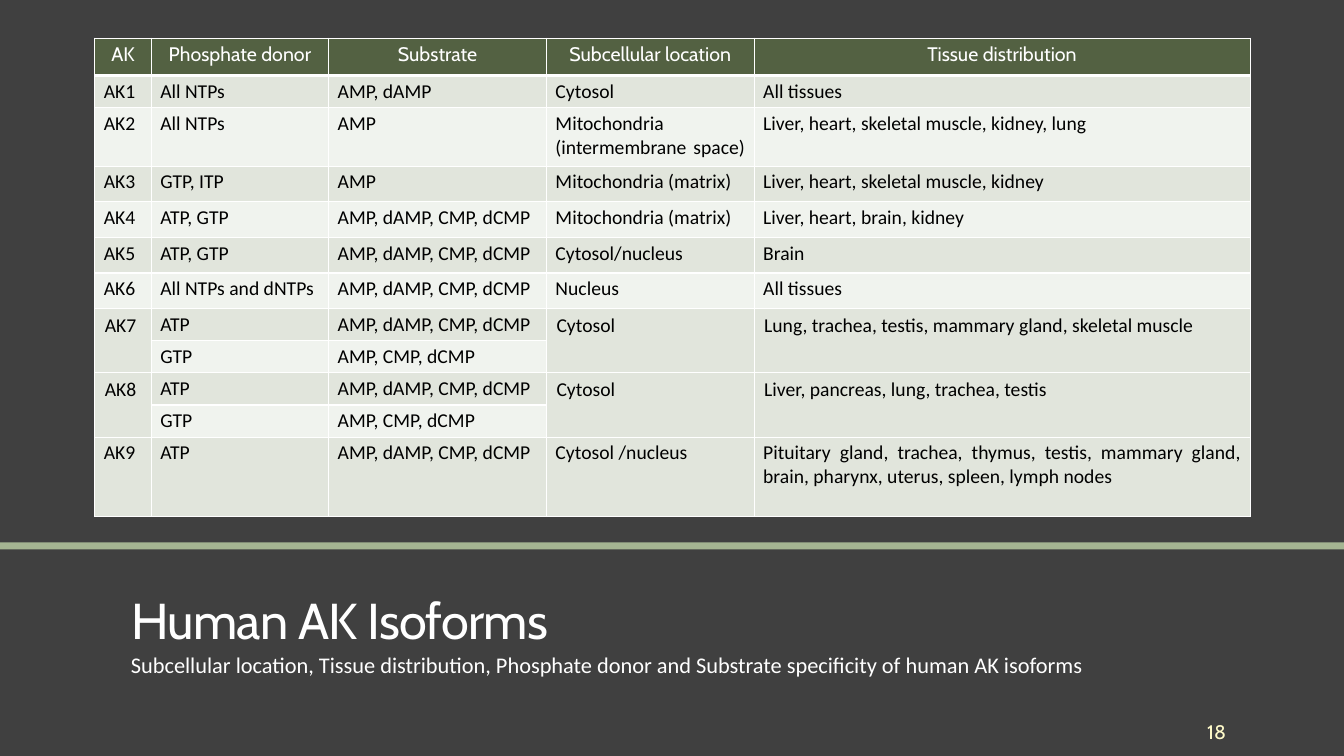
"""Build the slide on human AK isoforms: a table above a title and subtitle."""
from dataclasses import dataclass, field
from typing import Any

from lxml.etree import SubElement
from pptx import Presentation
from pptx.dml.color import RGBColor
from pptx.enum.shapes import MSO_SHAPE
from pptx.enum.text import MSO_ANCHOR as ANCHOR, MSO_AUTO_SIZE as AUTO, PP_ALIGN as ALIGN
from pptx.oxml.ns import qn
from pptx.util import Inches, Pt

WHITE = RGBColor(0xFF, 0xFF, 0xFF)
BLACK = RGBColor(0x00, 0x00, 0x00)
CHARCOAL = RGBColor(0x40, 0x40, 0x40)
SAGE = RGBColor(0xA5, 0xB5, 0x92)
OLIVE = RGBColor(0x53, 0x61, 0x42)
BAND = RGBColor(0xE1, 0xE5, 0xDC)
PALE = RGBColor(0xF0, 0xF3, 0xEE)
CREAM = RGBColor(0xFE, 0xFA, 0xC9)
HEADING, BODY = "Cabin", "Calibri"

COL_WIDTHS = [0.56, 1.76, 2.16, 2.06, 4.92]
ROW_HEIGHTS = [0.37, 0.32, 0.58, 0.35, 0.36, 0.35, 0.35, 0.32, 0.32, 0.32, 0.32, 0.79]
ALL_FOUR = "AMP, dAMP, CMP, dCMP"
ROWS = [
    ["AK", "Phosphate donor", "Substrate", "Subcellular location", "Tissue distribution"],
    ["AK1", "All NTPs", "AMP, dAMP", "Cytosol", "All tissues"],
    ["AK2", "All NTPs", "AMP", "Mitochondria (intermembrane space) ",
     "Liver, heart, skeletal muscle, kidney, lung"],
    ["AK3", "GTP, ITP", "AMP", "Mitochondria (matrix)", "Liver, heart, skeletal muscle, kidney"],
    ["AK4", "ATP, GTP", ALL_FOUR, "Mitochondria (matrix)", "Liver, heart, brain, kidney"],
    ["AK5", "ATP, GTP", ALL_FOUR, "Cytosol/nucleus", "Brain"],
    ["AK6", "All NTPs and dNTPs", ALL_FOUR, "Nucleus", "All tissues"],
    ["AK7", "ATP", ALL_FOUR, "Cytosol", "Lung, trachea, testis, mammary gland, skeletal muscle"],
    ["", "GTP", "AMP, CMP, dCMP", "", ""],
    ["AK8", "ATP", ALL_FOUR, "Cytosol", "Liver, pancreas, lung, trachea, testis"],
    ["", "GTP", "AMP, CMP, dCMP", "", ""],
    ["AK9", "ATP", ALL_FOUR, "Cytosol /nucleus",
     "Pituitary gland, trachea, thymus, testis, mammary gland, brain, pharynx, uterus, "
     "spleen, lymph nodes"],
]


@dataclass
class Style:
    size: float
    font: str
    color: RGBColor
    para: dict[str, Any] = field(default_factory=dict)


@dataclass
class Label:
    text: str
    box: tuple[float, float, float, float]
    style: Style
    frame: dict[str, Any]


HEADER = Style(14, HEADING, WHITE, {"alignment": ALIGN.CENTER})
CELL = Style(14, BODY, BLACK, {"alignment": ALIGN.JUSTIFY})
FLUSH = {"margin_top": 0, "margin_bottom": 0}
TITLE = Label("Human AK Isoforms", (1.2, 5.55, 11.06, 0.9),
              Style(36, HEADING, WHITE, {"alignment": ALIGN.LEFT, "line_spacing": 0.85}),
              {"vertical_anchor": ANCHOR.BOTTOM, **FLUSH})
LABELS = [
    Label("Subcellular location, Tissue distribution, Phosphate donor and Substrate "
          "specificity of human AK isoforms", (1.2, 6.49, 11.06, 0.4),
          Style(16, BODY, WHITE, {"line_spacing": 0.9, "space_after": Pt(6)}),
          {"vertical_anchor": ANCHOR.TOP, **FLUSH}),
    Label("18", (10.83, 7.06, 1.43, 0.4),
          Style(14, HEADING, CREAM, {"alignment": ALIGN.RIGHT}),
          {"vertical_anchor": ANCHOR.MIDDLE}),
]


def apply(target: Any, values: dict[str, Any]) -> None:
    for name, value in values.items():
        setattr(target, name, value)


def write(tf: Any, text: str, style: Style) -> Any:
    p = tf.paragraphs[0]
    apply(p, style.para)
    r = p.add_run()
    r.text = text
    apply(r.font, {"size": Pt(style.size), "name": style.font, "bold": False})
    r.font.color.rgb = style.color
    return r


def place(sp: Any, label: Label) -> Any:
    apply(sp, dict(zip(("left", "top", "width", "height"), map(Inches, label.box))))
    tf = sp.text_frame
    apply(tf, {"word_wrap": True, "auto_size": AUTO.NONE, **label.frame})
    return write(tf, label.text, label.style)


def add_borders(cell: Any, widths: dict[str, float]) -> None:
    tc_pr = cell._tc.get_or_add_tcPr()
    for side, width in widths.items():
        ln = SubElement(tc_pr, qn(f"a:ln{side}"), w=str(Pt(width)))
        fill = SubElement(ln, qn("a:solidFill"))
        SubElement(fill, qn("a:srgbClr"), val=str(WHITE))


def add_isoform_table(s: Any) -> None:
    frame = s.shapes.add_table(len(ROWS), len(COL_WIDTHS), Inches(0.94), Inches(0.38),
                               Inches(sum(COL_WIDTHS)), Inches(sum(ROW_HEIGHTS)))
    table = frame.table
    for column, width in zip(table.columns, COL_WIDTHS):
        column.width = Inches(width)
    for row, height in zip(table.rows, ROW_HEIGHTS):
        row.height = Inches(height)
    for i, texts in enumerate(ROWS):
        for j, text in enumerate(texts):
            cell = table.cell(i, j)
            spans = i + 1 < len(ROWS) and not ROWS[i + 1][j]
            side, edge = (0.1, 0.05) if spans else (0.09, 0.04)
            apply(cell, {"margin_left": Inches(side), "margin_right": Inches(side),
                         "margin_top": Inches(edge), "margin_bottom": Inches(edge)})
            add_borders(cell, {"L": 1, "R": 1, "T": 3 if i == 1 else 1, "B": 3 if i == 0 else 1})
            cell.fill.solid()
            cell.fill.fore_color.rgb = OLIVE if i == 0 else BAND if i % 2 else PALE
            if text:
                write(cell.text_frame, text, CELL if i else HEADER)
            if spans:
                cell.merge(table.cell(i + 1, j))


def main() -> None:
    prs = Presentation()
    apply(prs, {"slide_width": Inches(13.33), "slide_height": Inches(7.5)})
    s = prs.slides.add_slide(prs.slide_layouts[5])
    s.background.fill.solid()
    s.background.fill.fore_color.rgb = CHARCOAL

    rule = s.shapes.add_shape(MSO_SHAPE.RECTANGLE, 0, Inches(5.38), prs.slide_width, Inches(0.07))
    rule.shadow.inherit = False
    rule.fill.solid()
    rule.fill.fore_color.rgb = SAGE
    rule.line.fill.background()

    r = place(s.shapes.title, TITLE)
    r.font._element.set("spc", "-50")
    for label in LABELS:
        place(s.shapes.add_textbox(*map(Inches, label.box)), label)
    add_isoform_table(s)
    prs.save("out.pptx")


if __name__ == "__main__":
    main()
